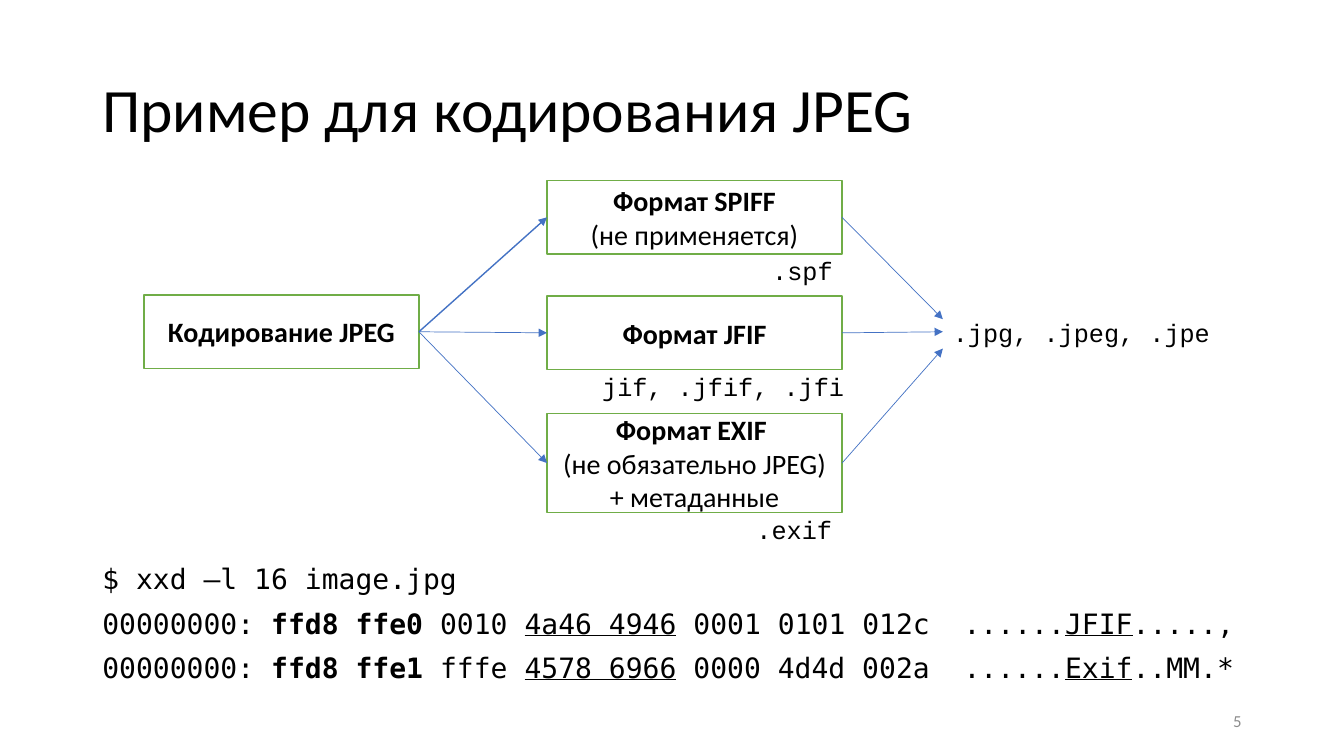
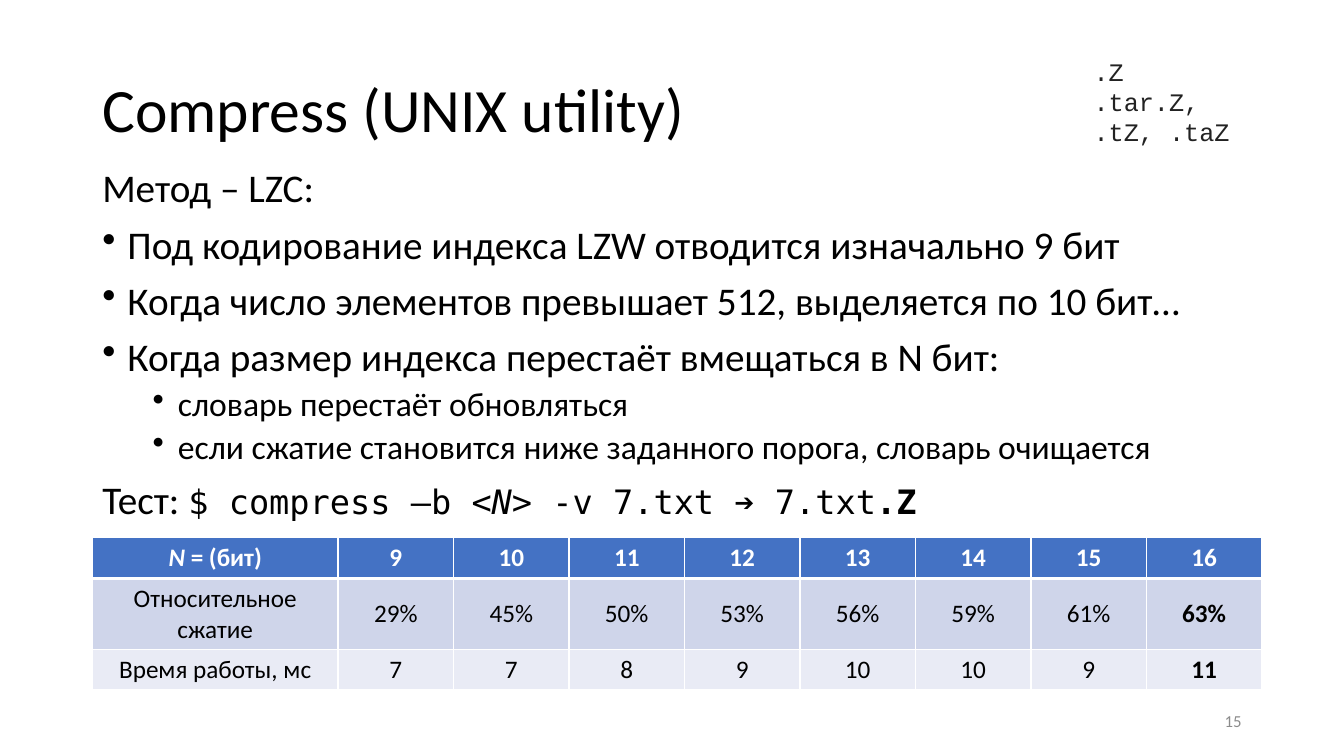
from lxml import etree
from pptx import Presentation
from pptx import util as u
from pptx.dml.color import RGBColor
from pptx.enum import shapes, text
from pptx.oxml.ns import qn

EMU_PER_PX = 9525
SANS, MONO, COURIER = "Calibri", "DejaVu Sans Mono", "Courier New"
COLORS = {
    "black": "000000", "white": "FFFFFF", "gray": "8C8C8C", "ink": "222222",
    "green": "70AD47", "blue": "4472C4", "band": "CFD5EA", "pale": "E9EBF5",
}
BOLD, ITALIC, UNDERLINE = {"bold": True}, {"italic": True}, {"underline": True}
LEFT, CENTER, RIGHT = (text.PP_ALIGN.LEFT, text.PP_ALIGN.CENTER,
                       text.PP_ALIGN.RIGHT)
MIDDLE = text.MSO_ANCHOR.MIDDLE


def px(*lengths):
    return [u.Emu(length * EMU_PER_PX) for length in lengths]


def color(name):
    return RGBColor.from_string(COLORS[name])


class Deck:
    """Holds the shared style and the slide being built."""

    def __init__(self):
        self.presentation = Presentation()
        self.presentation.slide_width, self.presentation.slide_height = px(1280, 720)
        self.slide = None

    # Slide with its title and number
    def new_slide(self, title, number):
        layout = self.presentation.slide_layouts[6]
        self.slide = self.presentation.slides.add_slide(layout)
        frame = self.text_box(88, 38, 1104, 139, anchor=MIDDLE)
        self.set_text(frame.paragraphs[0], title, 44, spacing=0.9)
        frame = self.text_box(904, 667, 288, 38, anchor=MIDDLE)
        self.set_text(frame.paragraphs[0], number, 12, ink="gray", align=RIGHT)

    # Text: content is a string or a list of strings and (string, font) pairs
    def set_text(self, paragraph, content, size, face=SANS, ink="black",
                 align=LEFT, bold=False, spacing=None, before=0):
        font = paragraph.font
        font.name, font.size, font.bold = face, u.Pt(size), bold
        font.color.rgb = color(ink)
        paragraph.alignment = align
        paragraph.line_spacing = spacing
        paragraph.space_before = u.Pt(before)
        for part in [content] if isinstance(content, str) else content:
            words, changes = (part, {}) if isinstance(part, str) else part
            if words == "\n":
                paragraph.add_line_break()
                continue
            run = paragraph.add_run()
            run.text = words
            for attribute, value in changes.items():
                setattr(run.font, attribute, value)

    def text_box(self, left, top, width, height, anchor=text.MSO_ANCHOR.TOP):
        shape = self.slide.shapes.add_textbox(*px(left, top, width, height))
        shape.text_frame.word_wrap = True
        shape.text_frame.vertical_anchor = anchor
        return shape.text_frame

    # Body paragraphs: (content, level), where level 0 has no bullet
    def body(self, top, height, items, size, face=SANS):
        frame = self.text_box(88, top, 1104, height)
        for index, (content, level) in enumerate(items):
            paragraph = frame.add_paragraph() if index else frame.paragraphs[0]
            nested = level == 2
            self.set_text(paragraph, content, size - 4 * nested, face,
                          spacing=0.9, before=5 if nested else 10)
            if level:
                self.bullet(paragraph, 72 if nested else 24)

    def bullet(self, paragraph, indent):
        properties = paragraph._p.get_or_add_pPr()
        properties.set("marL", str(px(indent)[0]))
        properties.set("indent", str(px(-24)[0]))
        mark = etree.Element(qn("a:buChar"), char="•")
        properties.find(qn("a:defRPr")).addprevious(mark)

    # Rectangle with text
    def box(self, left, top, width, height, content, size=20, face=SANS,
            ink="black", align=CENTER, outline="green"):
        shape = self.slide.shapes.add_shape(
            shapes.MSO_SHAPE.RECTANGLE, *px(left, top, width, height))
        shape.shadow.inherit = False
        shape.fill.solid()
        shape.fill.fore_color.rgb = color("white")
        if outline:
            shape.line.color.rgb = color(outline)
            shape.line.width = u.Pt(1)
        else:
            shape.line.fill.background()
        shape.text_frame.word_wrap = True
        shape.text_frame.vertical_anchor = MIDDLE
        self.set_text(shape.text_frame.paragraphs[0], content, size, face, ink, align)
        return shape

    # Caption with file extensions, kept on one line
    def extensions(self, left, top, width, content):
        shape = self.slide.shapes.add_textbox(*px(left, top, width, 38))
        shape.text_frame.word_wrap = False
        shape.text_frame.auto_size = text.MSO_AUTO_SIZE.SHAPE_TO_FIT_TEXT
        self.set_text(shape.text_frame.paragraphs[0], content, 18, COURIER)
        return shape

    # Arrow from the right side of one shape to the left side of another
    def arrow(self, source, target, weight=0.5, offset=0):
        connector = self.slide.shapes.add_connector(
            shapes.MSO_CONNECTOR.STRAIGHT,
            source.left + source.width, source.top + source.height // 2,
            target.left, target.top + target.height // 2 + px(offset)[0])
        connector.begin_connect(source, 3)
        if not offset:
            connector.end_connect(target, 1)
        connector.line.color.rgb = color("blue")
        connector.line.width = u.Pt(weight)
        etree.SubElement(connector.line._get_or_add_ln(), qn("a:tailEnd"),
                         type="triangle")
        etree.SubElement(connector._element.spPr, qn("a:effectLst"))

    # Table with a header row, banded rows and a bold last column
    def table(self, left, top, widths, heights, rows):
        table = self.slide.shapes.add_table(
            len(rows), len(widths),
            *px(left, top, sum(widths), sum(heights))).table
        for column, width in zip(table.columns, px(*widths)):
            column.width = width
        for row, height in zip(table.rows, px(*heights)):
            row.height = height
        fills = ["blue", "band", "pale"]
        for r, row in enumerate(rows):
            for c, content in enumerate(row):
                cell = table.cell(r, c)
                cell.vertical_anchor = MIDDLE
                cell.fill.solid()
                cell.fill.fore_color.rgb = color(fills[r])
                self.set_text(cell.text_frame.paragraphs[0], content, 18,
                              ink="black" if r else "white", align=CENTER,
                              bold=r == 0 or c == len(row) - 1)
                self.borders(cell, top=3 if r == 1 else 1, bottom=1 if r else 3)

    def borders(self, cell, top, bottom):
        properties = cell._tc.get_or_add_tcPr()
        sides = {"a:lnL": 1, "a:lnR": 1, "a:lnT": top, "a:lnB": bottom}
        for index, (side, weight) in enumerate(sides.items()):
            line = etree.Element(qn(side), w=str(u.Pt(weight)))
            fill = etree.SubElement(line, qn("a:solidFill"))
            etree.SubElement(fill, qn("a:srgbClr"), val=COLORS["white"])
            properties.insert(index, line)


def jpeg_slide(deck):
    deck.new_slide("Пример для кодирования JPEG", "5")

    # Hex dump
    deck.body(534, 139, [
        ("$ xxd –l 16 image.jpg", 0),
        (["00000000: ", ("ffd8 ffe0", BOLD), " 0010 ", ("4a46 4946", UNDERLINE),
          " 0001 0101 012c  ......", ("JFIF", UNDERLINE), ".....,"], 0),
        (["00000000: ", ("ffd8 ffe1 ", BOLD), "fffe ", ("4578 6966", UNDERLINE),
          " 0000 4d4d 002a  ......", ("Exif", UNDERLINE), "..MM.*"], 0),
    ], 20, MONO)

    # Encoding, its formats and their extensions
    encoding = deck.box(137, 281, 262, 70, [("Кодирование JPEG", BOLD)])
    spiff = deck.box(521, 172, 281, 70,
                     [("Формат SPIFF", BOLD), "\n", "(не применяется)"])
    jfif = deck.box(521, 282, 281, 70, [("Формат JFIF", BOLD)])
    exif = deck.box(521, 394, 281, 94,
                    [("Формат EXIF ", BOLD), "\n",
                     "(не обязательно JPEG) + метаданные"])
    deck.extensions(726, 238, 78, ".spf")
    deck.extensions(564, 349, 251, "jif, .jfif, .jfi")
    deck.extensions(711, 485, 92, ".exif")
    common = deck.extensions(898, 297, 265, ".jpg, .jpeg, .jpe")

    # Arrows
    for file_format, weight, offset in [(spiff, 1, -12), (jfif, 0.5, 0),
                                        (exif, 0.5, 16)]:
        deck.arrow(encoding, file_format, weight)
        deck.arrow(file_format, common, offset=offset)


def compress_slide(deck):
    deck.new_slide("Compress (UNIX utility)", "15")

    # Method and test command
    code = {"name": MONO, "size": u.Pt(24)}
    deck.body(156, 457, [
        ("Метод – LZC:", 0),
        ("Под кодирование индекса LZW отводится изначально 9 бит", 1),
        ("Когда число элементов превышает 512, выделяется по 10 бит…", 1),
        ("Когда размер индекса перестаёт вмещаться в N бит:", 1),
        ("словарь перестаёт обновляться", 2),
        ("если сжатие становится ниже заданного порога, словарь очищается", 2),
        (["Тест: ", ("$ compress –b ", code), ("<N>", code | ITALIC),
          (" -v 7.txt ➔ 7.txt", code), (".Z", code | BOLD)], 0),
    ], 28)

    # Test results
    deck.table(88, 512, [234] + [110] * 8, [39, 67, 39], [
        [[("N ", ITALIC), "= (бит)"], *map(str, range(9, 17))],
        ["Относительное сжатие",
         *(f"{share}%" for share in (29, 45, 50, 53, 56, 59, 61, 63))],
        ["Время работы, мс", *map(str, (7, 7, 8, 9, 10, 10, 9, 11))],
    ])

    # File extensions
    deck.box(1032, 48, 207, 97, [".Z", "\n", ".tar.Z,", "\n", ".tZ, .taZ"],
             18, COURIER, "ink", LEFT, outline=None)


def main():
    deck = Deck()
    jpeg_slide(deck)
    compress_slide(deck)
    deck.presentation.save("out.pptx")


if __name__ == "__main__":
    main()
